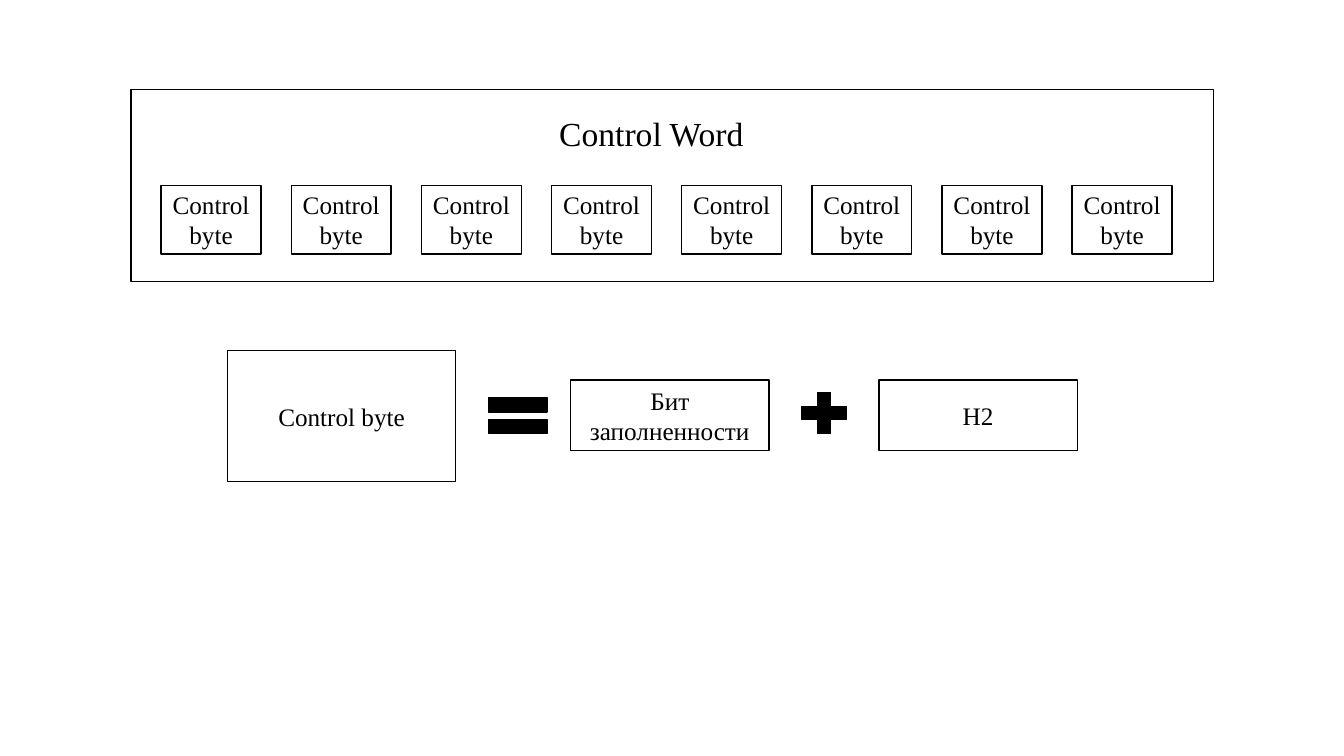
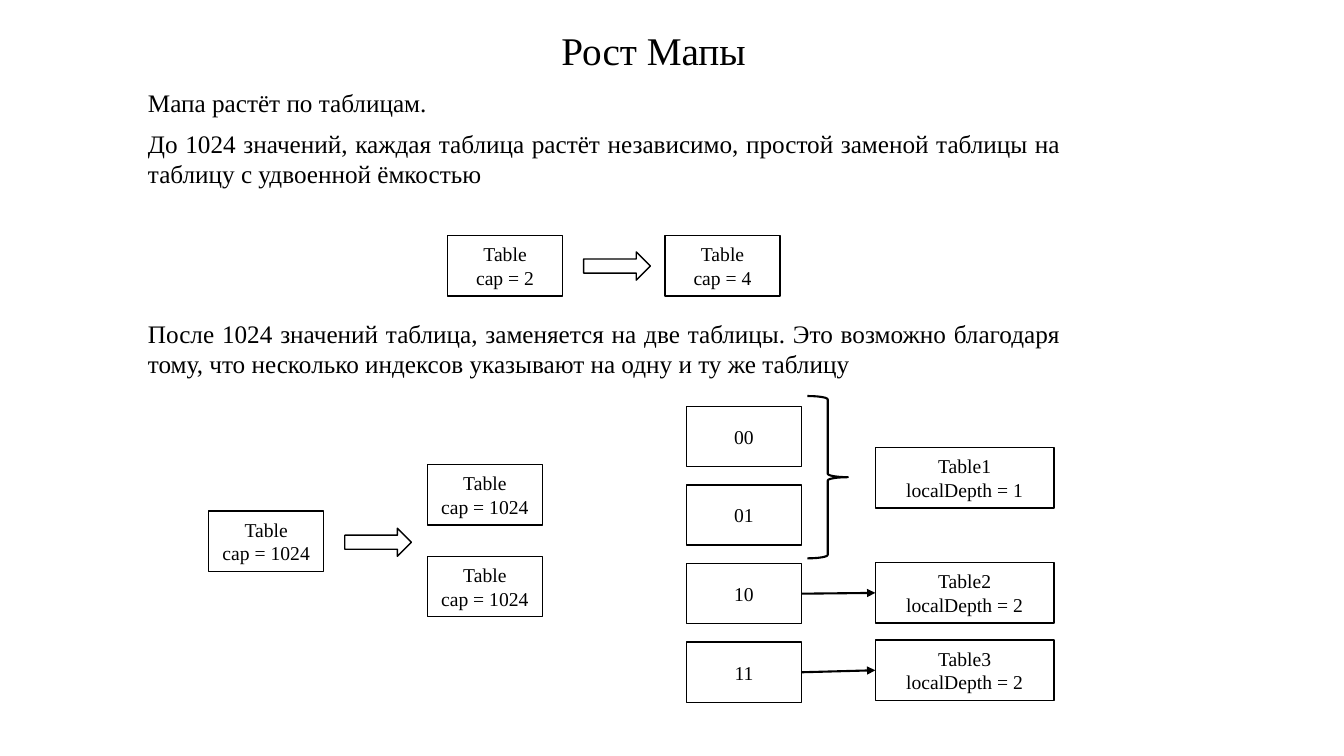
from lxml import etree
from pptx import Presentation
from pptx.dml.color import RGBColor
from pptx.enum.shapes import MSO_CONNECTOR, MSO_SHAPE
from pptx.enum.text import MSO_ANCHOR, PP_ALIGN
from pptx.oxml.ns import qn
from pptx.util import Cm, Pt

RECTANGLE = MSO_SHAPE.RECTANGLE
ARROW = MSO_SHAPE.RIGHT_ARROW
BRACE = MSO_SHAPE.RIGHT_BRACE
EQUAL = MSO_SHAPE.MATH_EQUAL
PLUS = MSO_SHAPE.MATH_PLUS
STRAIGHT = MSO_CONNECTOR.STRAIGHT
TOP, MIDDLE = MSO_ANCHOR.TOP, MSO_ANCHOR.MIDDLE
CENTER, JUSTIFY = PP_ALIGN.CENTER, PP_ALIGN.JUSTIFY
LEFT_SIDE, RIGHT_SIDE = 1, 3
TITLE_ONLY = 5

COLORS = {"ink": "000000", "paper": "FFFFFF"}
FONT = "Times New Roman"
CARD_WIDTH, CARD_HEIGHT = 2.9, 1.52


class Sketch:
    """Holds the deck's style and the slide being drawn."""

    def __init__(self):
        self.deck = Presentation()
        self.deck.slide_width, self.deck.slide_height = Cm(33.87), Cm(19.05)
        self.page = None

    def color(self, name):
        return RGBColor.from_string(COLORS[name])

    def set_text(self, frame, text, size, align, anchor):
        frame.text = text
        frame.word_wrap = True
        frame.vertical_anchor = anchor
        for para in frame.paragraphs:
            para.alignment = align
            for span in para.runs:
                span.font.name = FONT
                span.font.size = Pt(size)
                span.font.color.rgb = self.color("ink")

    def new_page(self, title, area, size):
        self.page = self.deck.slides.add_slide(self.deck.slide_layouts[TITLE_ONLY])
        box = self.page.shapes.title
        box.left, box.top, box.width, box.height = map(Cm, area)
        self.set_text(box.text_frame, title, size, CENTER, TOP)

    def text(self, text, left, top, width, height):
        box = self.page.shapes.add_textbox(*map(Cm, (left, top, width, height)))
        self.set_text(box.text_frame, text, 18, JUSTIFY, TOP)

    def shape(self, kind, left, top, width, height, fill=None, line=1):
        shape = self.page.shapes.add_shape(kind, *map(Cm, (left, top, width, height)))
        shape.shadow.inherit = False
        if fill:
            shape.fill.solid()
            shape.fill.fore_color.rgb = self.color(fill)
        else:
            shape.fill.background()
        shape.line.color.rgb = self.color("ink")
        shape.line.width = Pt(line)
        return shape

    def box(self, text, left, top, width, height, size=18, fill=None):
        box = self.shape(RECTANGLE, left, top, width, height, fill)
        self.set_text(box.text_frame, text, size, CENTER, MIDDLE)
        return box

    def card(self, text, left, top, width=CARD_WIDTH):
        return self.box(text, left, top, width, CARD_HEIGHT, 14, "paper")

    def block_arrow(self, left, top):
        self.shape(ARROW, left, top, 1.68, 0.71)

    def link(self, start, end):
        link = self.page.shapes.add_connector(STRAIGHT, 0, 0, 0, 0)
        link.begin_connect(start, RIGHT_SIDE)
        link.end_connect(end, LEFT_SIDE)
        link.line.color.rgb = self.color("ink")
        link.line.width = Pt(1.5)
        properties = link._element.spPr
        etree.SubElement(properties.find(qn("a:ln")), qn("a:tailEnd"), type="triangle")
        etree.SubElement(properties, qn("a:effectLst"))


def control_word_page(sketch):
    sketch.new_page("Control Word", (10.46, 2.72, 11.91, 1.27), 24)

    # The word and its eight bytes
    sketch.shape(RECTANGLE, 3.3, 2.26, 27.28, 4.83)
    for index in range(8):
        sketch.box("Control byte", 4.06 + 3.28 * index, 4.67, 2.52, 1.73)

    # What one byte is made of
    sketch.box("Control byte", 5.74, 8.84, 5.74, 3.3)
    sketch.shape(EQUAL, 12.04, 9.7, 2.01, 1.55, "ink")
    sketch.box("Бит заполненности", 14.38, 9.58, 5, 1.78)
    sketch.shape(PLUS, 19.99, 9.7, 1.55, 1.42, "ink")
    sketch.box("H2", 22.15, 9.58, 5, 1.78)


def map_growth_page(sketch):
    sketch.new_page("Рост Мапы", (7.26, 0.53, 18.42, 1.45), 28)

    # Explanations
    for text, top, height in (
        ("Мапа растёт по таблицам.", 2.08, 1.02),
        ("До 1024 значений, каждая таблица растёт независимо, простой заменой "
         "таблицы на таблицу с удвоенной ёмкостью", 3.1, 1.8),
        ("После 1024 значений таблица, заменяется на две таблицы. Это возможно "
         "благодаря тому, что несколько индексов указывают на одну и ту же таблицу",
         7.9, 2.57),
    ):
        sketch.text(text, 3.48, top, 23.5, height)

    # Doubling a table, then splitting one
    for capacity, left, top in (
        (2, 11.28, 5.94), (4, 16.76, 5.94),
        (1024, 5.26, 12.88), (1024, 10.77, 11.71), (1024, 10.77, 14.02),
    ):
        sketch.card(f"Table\ncap = {capacity}", left, top)
    sketch.block_arrow(14.71, 6.35)
    sketch.block_arrow(8.69, 13.31)

    # Directory indexes and the tables they point to
    indexes = [sketch.card(f"{number:02b}", 17.3, 10.24 + 1.98 * number)
               for number in range(4)]
    tables = [sketch.card(f"Table{number}\nlocalDepth = {depth}", 22.06, top, 4.5)
              for number, depth, top in ((1, 1, 11.28), (2, 2, 14.18), (3, 2, 16.13))]
    sketch.shape(BRACE, 20.35, 9.98, 1.02, 4.09, line=1.5)
    for index, table in zip(indexes[2:], tables[1:]):
        sketch.link(index, table)


def main():
    sketch = Sketch()
    control_word_page(sketch)
    map_growth_page(sketch)
    sketch.deck.save("out.pptx")


if __name__ == "__main__":
    main()
